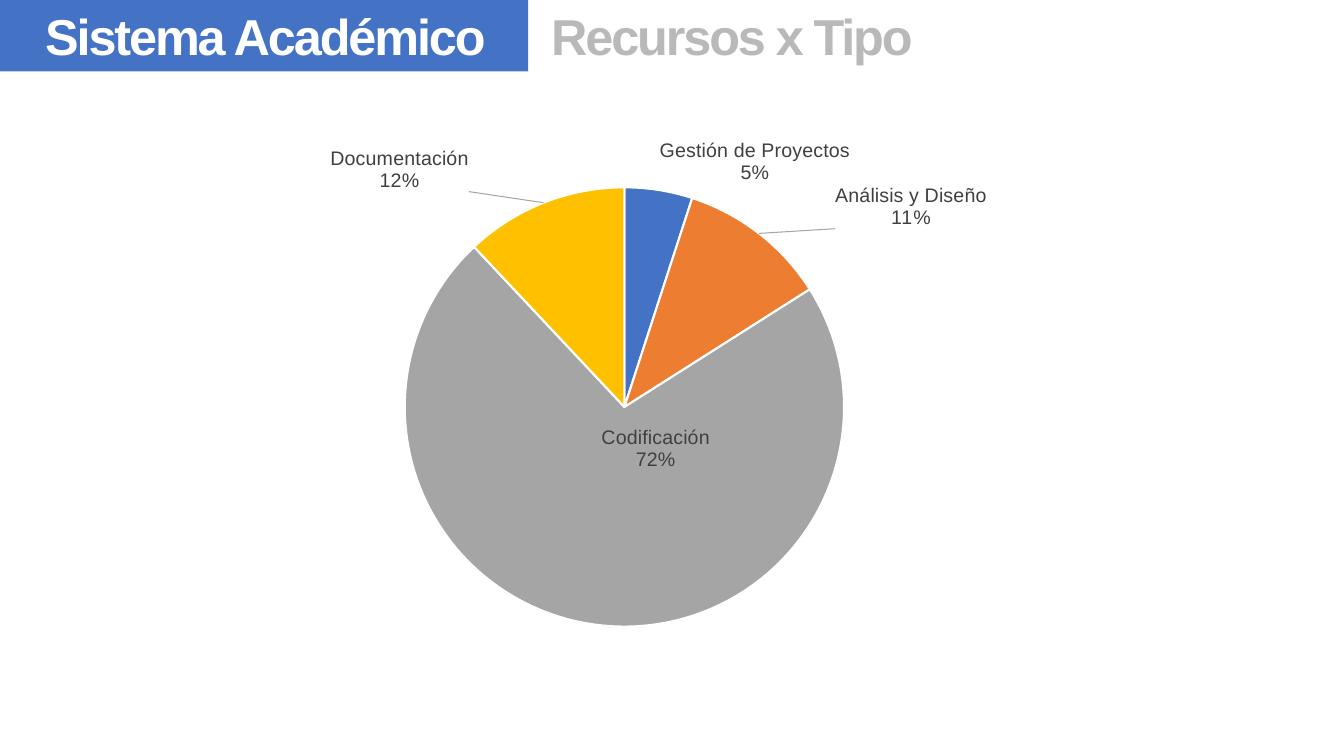
from lxml.etree import SubElement as Sub
from pptx import Presentation
from pptx.chart.data import CategoryChartData as Data
from pptx.dml.color import RGBColor as RGB
from pptx.enum.chart import XL_CHART_TYPE as Kind, XL_LABEL_POSITION as Pos
from pptx.enum.shapes import MSO_SHAPE as Shape
from pptx.enum.text import MSO_AUTO_SIZE as Auto
from pptx.oxml import parse_xml as parse
from pptx.oxml.ns import nsdecls, qn
from pptx.util import Cm, Pt

SHARES = [
    ("Gestión de Proyectos", 5, "4472C4", None),
    ("Análisis y Diseño", 11, "ED7D31", (0.07, 0)),
    ("Codificación", 72, "A5A5A5", (0.11, -0.36)),
    ("Documentación", 12, "FFC000", (-0.07, -0.01)),
]


def paint(fmt, color):
    fmt.solid()
    fmt.fore_color.rgb = RGB.from_string(color)


def style(font, name, size, color):
    font.name = name
    font.size = Pt(size)
    font.color.rgb = RGB.from_string(color)


def add_bar(slide, width, height, color):
    bar = slide.shapes.add_shape(Shape.RECTANGLE, 0, 0, width, height)
    bar.shadow.inherit = False
    paint(bar.fill, color)
    bar.line.fill.background()


def add_title(slide, text, left, color):
    frame = slide.shapes.add_textbox(left, 0, Cm(12.19), Cm(1.8)).text_frame
    frame.word_wrap = True
    frame.auto_size = Auto.SHAPE_TO_FIT_TEXT
    para = frame.paragraphs[0]
    run = para.add_run()
    run.text = text
    style(para.font, "Arial", 36, color)
    para.font.bold = True
    run._r.get_or_add_rPr().set("spc", "-150")


def layout(**parts):
    root = parse(f"<c:layout {nsdecls('c')}/>")
    box = Sub(root, qn("c:manualLayout"))
    for tag, value in parts.items():
        Sub(box, qn(f"c:{tag}")).set("val", str(value))
    return root


def set_label(label, spot):
    style(label.font, "Arial", 14, "404040")
    label.position = Pos.OUTSIDE_END
    node = label._dLbl
    for tag, flag in (("Val", 0), ("CatName", 1), ("Percent", 1)):
        node.find(qn(f"c:show{tag}")).set("val", str(flag))
    Sub(node, qn("c:separator")).text = "\n"
    if spot:
        node.insert(1, layout(x=spot[0], y=spot[1]))


def add_pie(slide):
    data = Data()
    data.categories = [share[0] for share in SHARES]
    data.add_series("Series 1", [share[1] for share in SHARES])
    chart = slide.shapes.add_chart(
        Kind.PIE, Cm(3.23), Cm(3.15), Cm(26.11), Cm(14.27), data).chart
    chart.has_title = False
    chart.has_legend = False
    style(chart.font, "Calibri", 10, "000000")
    plot = chart.plots[0]
    plot.vary_by_categories = True
    area = chart._chartSpace.chart.plotArea
    old = area.find(qn("c:layout"))
    if old is not None:
        area.remove(old)
    area.insert(0, layout(layoutTarget="inner", xMode="edge", yMode="edge",
                          x=0.267, y=0.11, w=0.424, h=0.776))

    series = plot.series[0]
    labels = series.data_labels
    style(labels.font, "Arial", 14, "404040")
    labels.show_value = False
    labels.show_category_name = True
    labels.show_percentage = True
    labels.position = Pos.OUTSIDE_END
    for i, (_, _, color, spot) in enumerate(SHARES):
        point = series.points[i]
        paint(point.format.fill, color)
        paint(point.format.line.fill, "FFFFFF")
        point.format.line.width = Pt(1.5)
        set_label(point.data_label, spot)
    labels._element.append(parse(
        f'<c:leaderLines {nsdecls("c", "a")}><c:spPr><a:ln w="9525">'
        '<a:solidFill><a:srgbClr val="A6A6A6"/></a:solidFill>'
        '</a:ln></c:spPr></c:leaderLines>'))


def main():
    deck = Presentation()
    deck.slide_width, deck.slide_height = Cm(33.87), Cm(19.05)
    slide = deck.slides.add_slide(deck.slide_layouts[6])
    add_bar(slide, Cm(13.31), Cm(1.8), "4472C4")
    add_title(slide, "Sistema Académico", Cm(0.89), "FFFFFF")
    add_title(slide, "Recursos x Tipo", Cm(13.64), "B9B9B9")
    add_pie(slide)
    deck.save("out.pptx")


if __name__ == "__main__":
    main()
